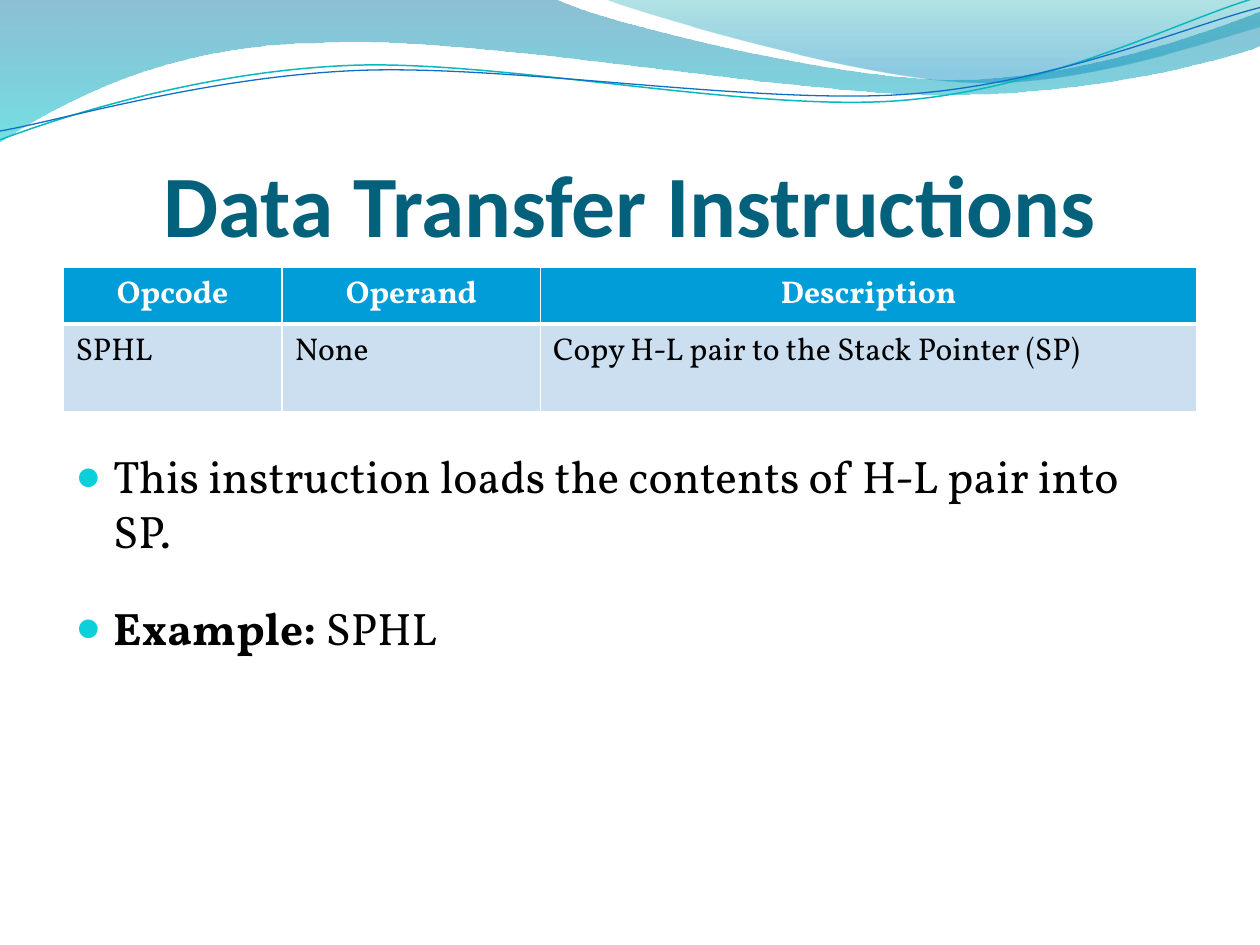
from lxml.etree import SubElement
from pptx import Presentation
from pptx.dml.color import RGBColor
from pptx.enum.text import MSO_ANCHOR, PP_ALIGN
from pptx.oxml.ns import qn
from pptx.util import Inches, Pt

COLORS = {
    "title": "04617B", "text": "000000", "white": "FFFFFF",
    "header": "009DD9", "row": "CCDFF1", "bullet": "0BD0D9",
    "deep": "0074A1", "aqua": "00C6CF", "teal": "00A1A9", "sky": "008BBF",
    "teal_line": "0AB8BF", "blue_line": "0F6FC6",
}
BODY_FONT = "Vollkorn"
ROW_HEIGHTS = (0.45, 0.7)

LEFT_WAVE = [
    (0, -0.01), [(4.4, -0.01)],
    [(4.76, 0.17), (6.64, 0.63), (7.58, 0.63)],
    [(8.53, 0.63), (9.58, 0.26), (10, 0.09)], [(10.01, 0.36)],
    [(9.83, 0.44), (8.7, 0.76), (7.46, 0.75)],
    [(6.22, 0.75), (3.82, 0.28), (2.57, 0.34)],
    [(1.29, 0.35), (0.46, 0.83), (-0.01, 1.13)], [(0, -0.01)],
]
RIGHT_WAVE = [
    (4.79, -0.01),
    [(5.09, 0.11), (6.82, 0.62), (7.69, 0.65)],
    [(8.56, 0.69), (9.61, 0.32), (10, 0.21)], [(10, 0)], [(4.79, -0.01)],
]
TEAL_CURVE = [
    (0, 1.11),
    [(0.48, 0.93), (1.58, 0.57), (2.77, 0.52)],
    [(3.95, 0.47), (5.93, 0.89), (7.13, 0.8)],
    [(8.33, 0.71), (9.38, 0.15), (9.98, -0.02)],
]
BLUE_CURVE = [
    (0, 1.04),
    [(0.47, 0.96), (1.64, 0.61), (2.83, 0.56)],
    [(4.03, 0.51), (5.97, 0.83), (7.17, 0.75)],
    [(8.36, 0.67), (9.41, 0.21), (10, 0.06)],
]


def rgb(name):
    return RGBColor.from_string(COLORS[name])


def add_outline(slide, outline, close):
    (x, y), *segments = outline
    builder = slide.shapes.build_freeform(Inches(x), Inches(y))
    points = [(Inches(px), Inches(py)) for segment in segments for px, py in segment]
    builder.add_line_segments(points, close=close)
    s = builder.convert_to_shape()
    s.shadow.inherit = False
    lines = iter(list(s._element.iter(qn("a:lnTo"))))
    for segment in segments:
        first, *others = [next(lines) for _ in segment]
        if others:
            first.tag = qn("a:cubicBezTo")
            for line in others:
                first.append(line[0])
                line.getparent().remove(line)
    return s


def add_wave(slide, outline, stops):
    s = add_outline(slide, outline, True)
    s.line.fill.background()
    s.fill.gradient()
    s.fill.gradient_angle = 270
    for stop, (position, color, _) in zip(s.fill.gradient_stops, stops):
        stop.position = position
        stop.color.rgb = rgb(color)
    for clr, (_, _, opacity) in zip(s._element.spPr.iter(qn("a:srgbClr")), stops):
        SubElement(clr, qn("a:alpha"), val=str(opacity * 1000))


def add_curve(slide, outline, color, width):
    s = add_outline(slide, outline, False)
    s.fill.background()
    s.line.color.rgb = rgb(color)
    s.line.width = Pt(width)


def add_run(p, text, size=18, font=BODY_FONT, color="text", bold=False):
    r = p.add_run()
    r.text = text
    r.font.size = Pt(size)
    r.font.name = font
    r.font.color.rgb = rgb(color)
    r.font.bold = bold


def add_box(slide, left, top, width, height):
    box = slide.shapes.add_textbox(Inches(left), Inches(top), Inches(width), Inches(height))
    box.text_frame.word_wrap = True
    return box.text_frame


def add_title(slide, text):
    tf = add_box(slide, 0.5, 0.77, 9, 1.25)
    tf.margin_left = tf.margin_right = tf.margin_bottom = 0
    tf.vertical_anchor = MSO_ANCHOR.BOTTOM
    p = tf.paragraphs[0]
    p.alignment = PP_ALIGN.CENTER
    add_run(p, text, size=50, font="Calibri", color="title", bold=True)


def set_bullet(p):
    pPr = p._p.get_or_add_pPr()
    pPr.set("marL", str(Inches(0.3)))
    pPr.set("indent", str(Inches(-0.3)))
    clr = SubElement(pPr, qn("a:buClr"))
    SubElement(clr, qn("a:srgbClr"), val=COLORS["bullet"])
    SubElement(pPr, qn("a:buSzPct"), val="95000")
    SubElement(pPr, qn("a:buFont"), typeface="Arial")
    SubElement(pPr, qn("a:buChar"), char="●")


def add_bullets(slide, items):
    tf = add_box(slide, 0.5, 3.51, 9, 3.4)
    for i, runs in enumerate(items):
        p = tf.add_paragraph() if i else tf.paragraphs[0]
        set_bullet(p)
        p.space_after = Pt(24)
        for text, bold in runs:
            add_run(p, text, size=26, bold=bold)


def set_borders(cell, bottom):
    tcPr = cell._tc.get_or_add_tcPr()
    for side, width in (("L", 1), ("R", 1), ("T", 1), ("B", bottom)):
        ln = SubElement(tcPr, qn(f"a:ln{side}"), w=str(Pt(width)))
        fill = SubElement(ln, qn("a:solidFill"))
        SubElement(fill, qn("a:srgbClr"), val=COLORS["white"])


def add_instruction_table(slide, rows):
    table = slide.shapes.add_table(
        2, 3, Inches(0.5), Inches(2.12), Inches(9), Inches(sum(ROW_HEIGHTS))).table
    for column, width in zip(table.columns, (1.74, 2.05, 5.21)):
        column.width = Inches(width)
    for r, (row, height) in enumerate(zip(rows, ROW_HEIGHTS)):
        header = r == 0
        table.rows[r].height = Inches(height)
        for c, text in enumerate(row):
            cell = table.cell(r, c)
            set_borders(cell, 3 if header else 1)
            cell.fill.solid()
            cell.fill.fore_color.rgb = rgb("header" if header else "row")
            p = cell.text_frame.paragraphs[0]
            p.alignment = PP_ALIGN.CENTER if header else PP_ALIGN.LEFT
            add_run(p, text, color="white" if header else "text", bold=header)


def main():
    prs = Presentation()
    prs.slide_width, prs.slide_height = Inches(10), Inches(7.5)
    slide = prs.slides.add_slide(prs.slide_layouts[6])
    add_wave(slide, LEFT_WAVE, [(0, "deep", 45), (1, "aqua", 55)])
    add_wave(slide, RIGHT_WAVE, [(0, "teal", 30), (0.8, "sky", 45)])
    add_curve(slide, TEAL_CURVE, "teal_line", 0.85)
    add_curve(slide, BLUE_CURVE, "blue_line", 0.75)
    add_title(slide, "Data Transfer Instructions")
    add_instruction_table(slide, [
        ("Opcode", "Operand", "Description"),
        ("SPHL", "None", "Copy H-L pair to the Stack Pointer (SP)"),
    ])
    add_bullets(slide, [
        [("This instruction loads the contents of H-L pair into SP.", False)],
        [("Example:", True), (" SPHL", False)],
    ])
    prs.save("out.pptx")


if __name__ == "__main__":
    main()
